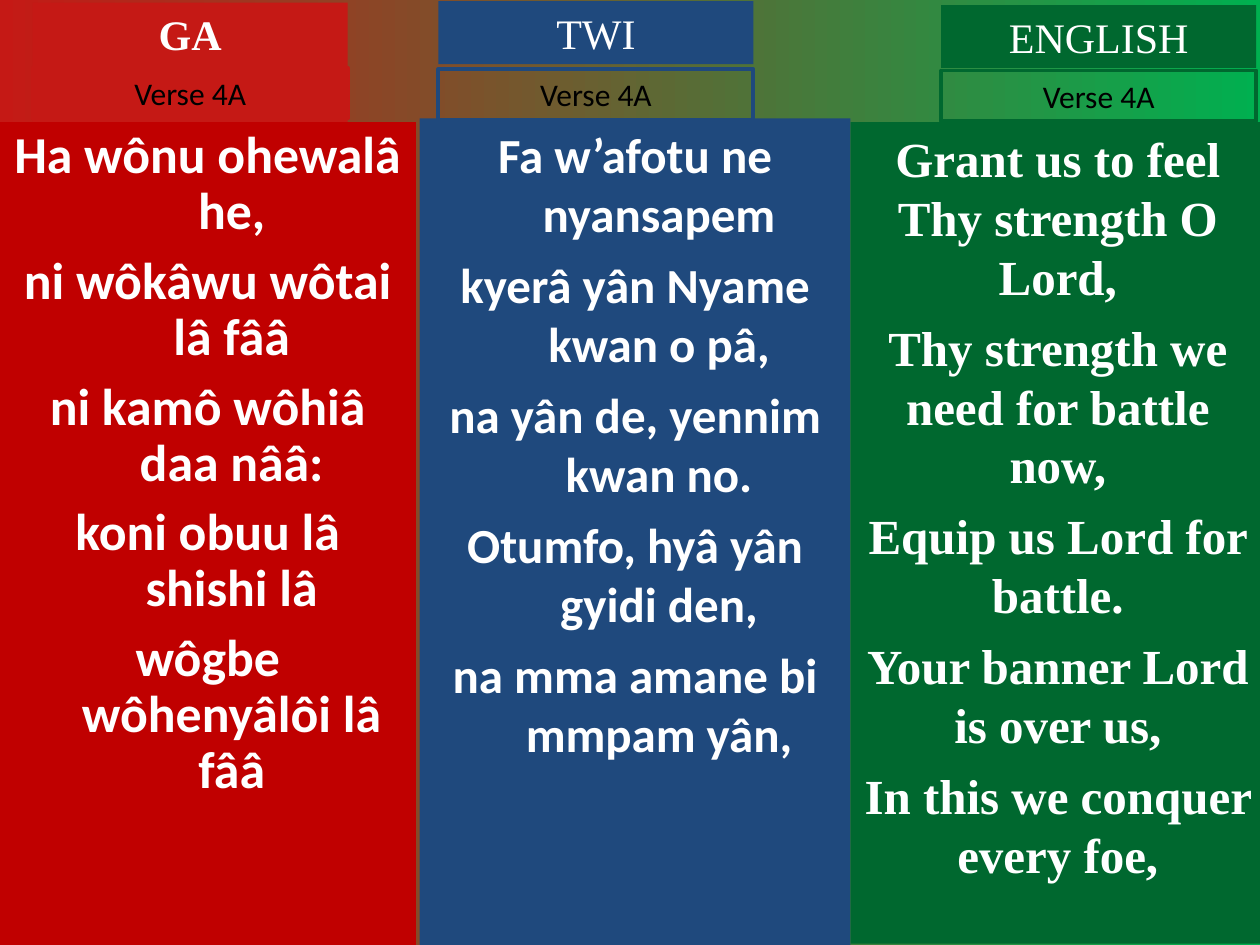
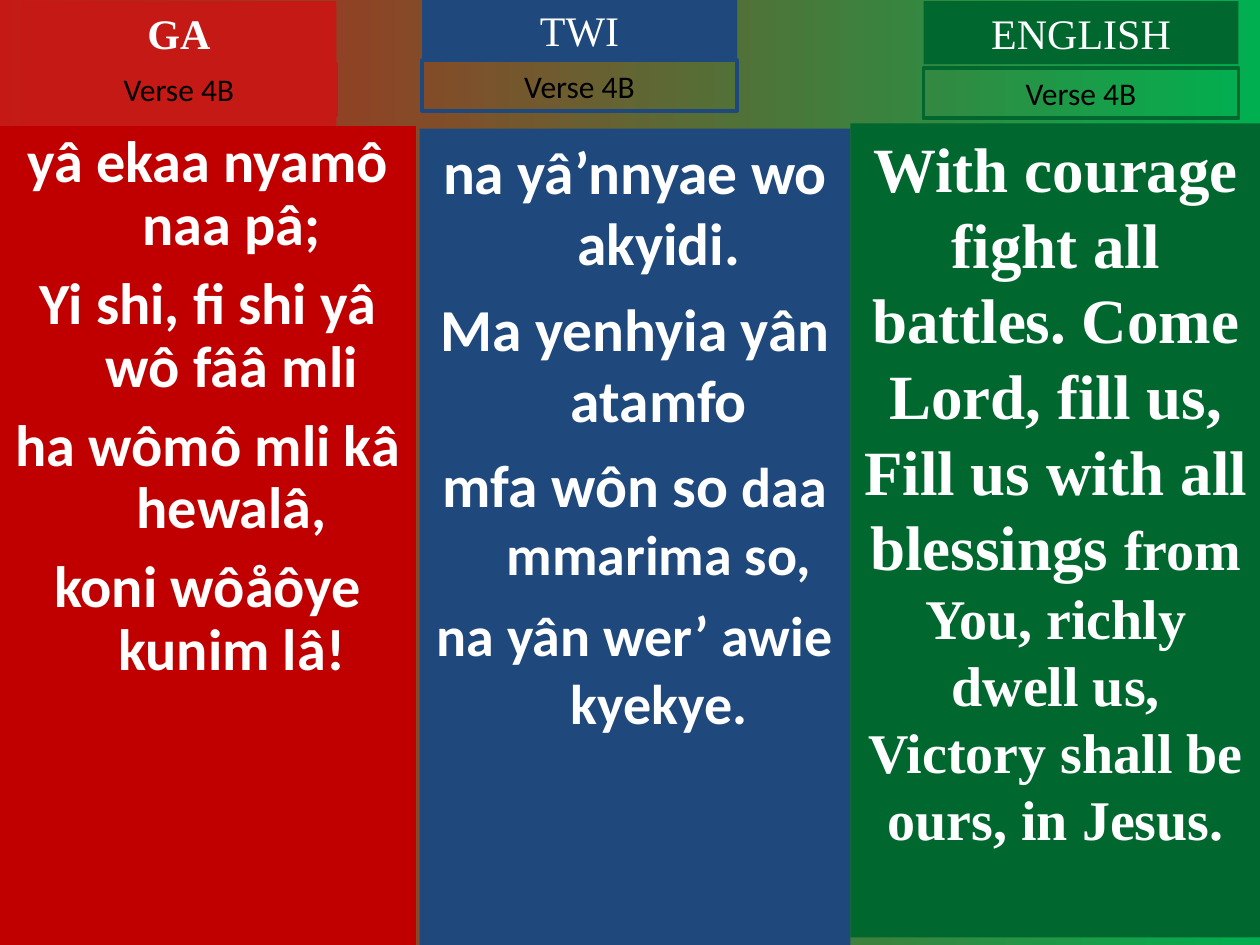
from dataclasses import dataclass

from lxml import etree
from pptx import Presentation
from pptx.dml.color import RGBColor
from pptx.enum.shapes import MSO_SHAPE
from pptx.enum.text import MSO_ANCHOR, MSO_AUTO_SIZE, PP_ALIGN
from pptx.oxml.ns import qn
from pptx.util import Inches, Pt

COLOURS = {
    "ga": "C51915",
    "ga_panel": "C00000",
    "twi": "1F497D",
    "english": "00682F",
    "background_end": "00B050",
    "white": "FFFFFF",
    "black": "000000",
}
SANS, SERIF = "Calibri", "Times New Roman"
HANGING = 0.38
LABEL_WIDTH, HEADER_HEIGHT, VERSE_HEIGHT = 2.5, 0.5, 0.4


@dataclass
class Language:
    name: str
    colour: str
    panel_colour: str
    font: str
    placeholder: int = None
    bold_header: bool = False
    hanging: float = 0
    line_spacing: float = 1.0


@dataclass
class Column:
    header: tuple       # left, top
    verse_top: float
    panel: tuple        # left, top, width, height
    size: float
    space: float
    lines: list         # each a string, or a list of (text, size) runs


LANGUAGES = [
    Language("GA", "ga", "ga_panel", SANS, 1, True, HANGING, 0.9),
    Language("TWI", "twi", "twi", SANS, 2, False, HANGING),
    Language("ENGLISH", "english", "english", SERIF),
]

VERSES = {
    "Verse 4A": [
        Column((0.26, 0.02), 0.54, (0, 0.97, 3.3, 6.53), 29.6, 8, [
            "Ha wônu ohewalâ he,",
            "ni wôkâwu wôtai lâ fââ",
            "ni kamô wôhiâ daa nââ:",
            "koni obuu lâ shishi lâ",
            "wôgbe wôhenyâlôi lâ fââ",
        ]),
        Column((3.48, 0.01), 0.55, (3.33, 0.94, 3.42, 6.56), 28, 7, [
            "Fa w’afotu ne nyansapem",
            "kyerâ yân Nyame kwan o pâ,",
            "na yân de, yennim kwan no.",
            "Otumfo, hyâ yân gyidi den,",
            "na mma amane bi mmpam yân,",
        ]),
        Column((7.47, 0.04), 0.56, (6.75, 0.97, 3.29, 6.52), 28, 7, [
            "Grant us to feel Thy strength O Lord,",
            "Thy strength we need for battle now,",
            "Equip us Lord for battle.",
            "Your banner Lord is over us,",
            "In this we conquer every foe,",
        ]),
    ],
    "Verse 4B": [
        Column((0.17, 0.01), 0.51, (0, 1, 3.3, 6.5), 33.3, 9, [
            "yâ ekaa nyamô naa pâ;",
            "Yi shi, fi shi yâ wô fââ mli",
            "ha wômô mli kâ hewalâ,",
            "koni wôåôye kunim lâ!",
        ]),
        Column((3.35, -0.01), 0.48, (3.33, 1.02, 3.42, 6.48), 34, 8, [
            "na yâ’nnyae wo akyidi.",
            "Ma yenhyia yân atamfo",
            [("mfa wôn so ", 34), ("daa mmarima so,", 32)],
            [("na yân wer’ awie kyekye.", 32)],
        ]),
        Column((7.33, 0.01), 0.54, (6.75, 0.98, 3.26, 6.46), 36, 8, [
            [("With courage fight all battles. Come Lord, fill us, "
              "Fill us with all blessings ", 36),
             ("from You, richly dwell us, Victory shall be ours, in Jesus.", 32)],
        ]),
    ],
}


def rgb(name):
    return RGBColor.from_string(COLOURS[name])


def write_text(shape, lines, *, font, size, colour="white", bold=False,
               space=0, line_spacing=1.0, hanging=0, grow=False):
    """Fill a shape with centred paragraphs, one for each line."""
    frame = shape.text_frame
    frame.word_wrap = True
    frame.vertical_anchor = MSO_ANCHOR.TOP
    frame.auto_size = MSO_AUTO_SIZE.SHAPE_TO_FIT_TEXT if grow else MSO_AUTO_SIZE.NONE
    for index, line in enumerate(lines):
        paragraph = frame.add_paragraph() if index else frame.paragraphs[0]
        paragraph.alignment = PP_ALIGN.CENTER
        paragraph.line_spacing = line_spacing
        paragraph.space_before = Pt(space if index else 0)
        properties = paragraph._p.get_or_add_pPr()
        properties.set("marL", str(Inches(hanging)))
        properties.set("indent", str(-Inches(hanging)))
        etree.SubElement(properties, qn("a:buNone"))
        runs = [(line, size)] if isinstance(line, str) else line
        for text, run_size in runs:
            run = paragraph.add_run()
            run.text = text
            run.font.name = font
            run.font.size = Pt(run_size)
            run.font.bold = bold
            run.font.color.rgb = rgb(colour)


class HymnDeck:
    def __init__(self):
        self.presentation = Presentation()
        self.presentation.slide_width = Inches(10)
        self.presentation.slide_height = Inches(7.5)
        self.slide = None

    def add_slide(self):
        layout = self.presentation.slide_layouts.get_by_name("Two Content")
        self.slide = self.presentation.slides.add_slide(layout)
        fill = self.slide.background.fill
        fill.gradient()
        fill.gradient_angle = 0
        for stop, name in zip(fill.gradient_stops, ("ga", "background_end")):
            stop.color.rgb = rgb(name)

    def rectangle(self, box, fill=None, line=None, placeholder=None):
        """Place a rectangle, or move the placeholder of that number there."""
        left, top, width, height = map(Inches, box)
        if placeholder is None:
            shape = self.slide.shapes.add_shape(
                MSO_SHAPE.RECTANGLE, left, top, width, height)
            shape.shadow.inherit = False
        else:
            shape = self.slide.placeholders[placeholder]
            shape.left, shape.top, shape.width, shape.height = left, top, width, height
        if fill:
            shape.fill.solid()
            shape.fill.fore_color.rgb = rgb(fill)
        else:
            shape.fill.background()
        if line:
            shape.line.color.rgb = rgb(line)
            shape.line.width = Pt(2.25)
        else:
            shape.line.fill.background()
        return shape

    def panel(self, language, column):
        shape = self.rectangle(column.panel, fill=language.panel_colour,
                               placeholder=language.placeholder)
        write_text(shape, column.lines, font=language.font, size=column.size,
                   bold=True, space=column.space, hanging=language.hanging,
                   line_spacing=language.line_spacing)

    def header(self, language, column, is_title):
        box = (*column.header, LABEL_WIDTH, HEADER_HEIGHT)
        shape = self.rectangle(box, fill=language.colour,
                               placeholder=0 if is_title else None)
        write_text(shape, [language.name], font=SERIF, size=24,
                   bold=language.bold_header, grow=True)

    def verse_label(self, language, column, verse):
        box = (column.header[0], column.verse_top, LABEL_WIDTH, VERSE_HEIGHT)
        shape = self.rectangle(box, line=language.colour)
        write_text(shape, [verse], font=SANS, size=18, colour="black", grow=True)

    def verse_slide(self, verse, columns):
        self.add_slide()
        for index, (language, column) in enumerate(zip(LANGUAGES, columns)):
            self.panel(language, column)
            self.header(language, column, is_title=index == 0)
            self.verse_label(language, column, verse)


def main():
    deck = HymnDeck()
    for verse, columns in VERSES.items():
        deck.verse_slide(verse, columns)
    deck.presentation.save("out.pptx")


if __name__ == "__main__":
    main()
